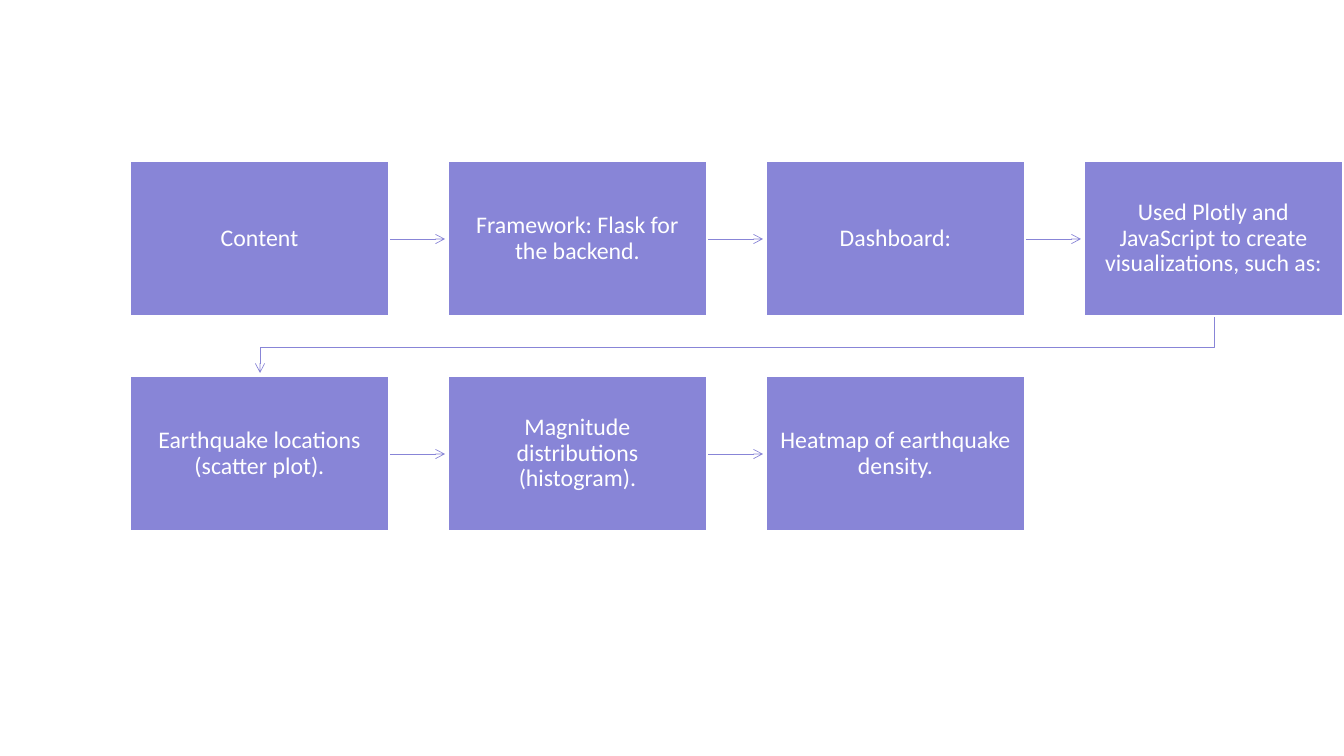
from lxml import etree
from pptx import Presentation
from pptx.dml.color import RGBColor
from pptx.enum.shapes import MSO_CONNECTOR as Connector, MSO_SHAPE as Shape
from pptx.enum.text import MSO_ANCHOR as Anchor, PP_ALIGN as Align
from pptx.oxml.ns import qn
from pptx.util import Emu, Pt

PURPLE = RGBColor(0x88, 0x85, 0xD7)
WHITE = RGBColor(0xFF, 0xFF, 0xFF)
COLUMNS = 4
LEFT, TOP = 130, 161
BOX_WIDTH, BOX_HEIGHT = 259, 155
COLUMN_STEP, ROW_STEP = 318, 215
ARROW_LENGTH = 56
STEPS = [
    "Content",
    "Framework: Flask for the backend.",
    "Dashboard:",
    "Used Plotly and JavaScript to create visualizations, such as:",
    "Earthquake locations (scatter plot).",
    "Magnitude distributions (histogram).",
    "Heatmap of earthquake density.",
]


def px(length):
    return Emu(round(length * 914400 / 100.8))


def style_arrow(arrow):
    arrow.line.color.rgb = PURPLE
    arrow.line.width = Pt(0.5)
    line = arrow.line._get_or_add_ln()
    etree.SubElement(line, qn("a:tailEnd"), type="arrow")
    etree.SubElement(arrow._element.spPr, qn("a:effectLst"))


presentation = Presentation()
presentation.slide_width = px(1344)
presentation.slide_height = px(756)
slide = presentation.slides.add_slide(presentation.slide_layouts[6])

for index, step in enumerate(STEPS):
    row, column = divmod(index, COLUMNS)
    left = LEFT + column * COLUMN_STEP
    top = TOP + row * ROW_STEP
    right, bottom = left + BOX_WIDTH, top + BOX_HEIGHT

    if index < len(STEPS) - 1:
        if column < COLUMNS - 1:
            middle = px(top + BOX_HEIGHT // 2 + 1)
            arrow = slide.shapes.add_connector(
                Connector.STRAIGHT, px(right), middle, px(right + ARROW_LENGTH), middle
            )
        else:
            start_x = left + BOX_WIDTH // 2 + 1
            end_x = LEFT + BOX_WIDTH // 2 + 1
            turn_y = bottom + 31
            builder = slide.shapes.build_freeform(px(start_x), px(bottom))
            builder.add_line_segments(
                [
                    (px(start_x), px(turn_y)),
                    (px(end_x), px(turn_y)),
                    (px(end_x), px(bottom + ARROW_LENGTH + 1)),
                ],
                close=False,
            )
            arrow = builder.convert_to_shape()
            arrow.fill.background()
        style_arrow(arrow)

    box = slide.shapes.add_shape(
        Shape.RECTANGLE, px(left), px(top), px(BOX_WIDTH), px(BOX_HEIGHT)
    )
    box.shadow.inherit = False
    box.fill.solid()
    box.fill.fore_color.rgb = PURPLE
    box.line.color.rgb = WHITE
    box.line.width = Pt(1)

    frame = box.text_frame
    frame.word_wrap = True
    frame.vertical_anchor = Anchor.MIDDLE
    frame.margin_left = frame.margin_right = px(13)
    frame.margin_top = frame.margin_bottom = px(13)
    paragraph = frame.paragraphs[0]
    paragraph.alignment = Align.CENTER
    paragraph.line_spacing = 0.9
    run = paragraph.add_run()
    run.text = step
    run.font.name = "Calibri"
    run.font.size = Pt(17)
    run.font.color.rgb = WHITE

presentation.save("out.pptx")
